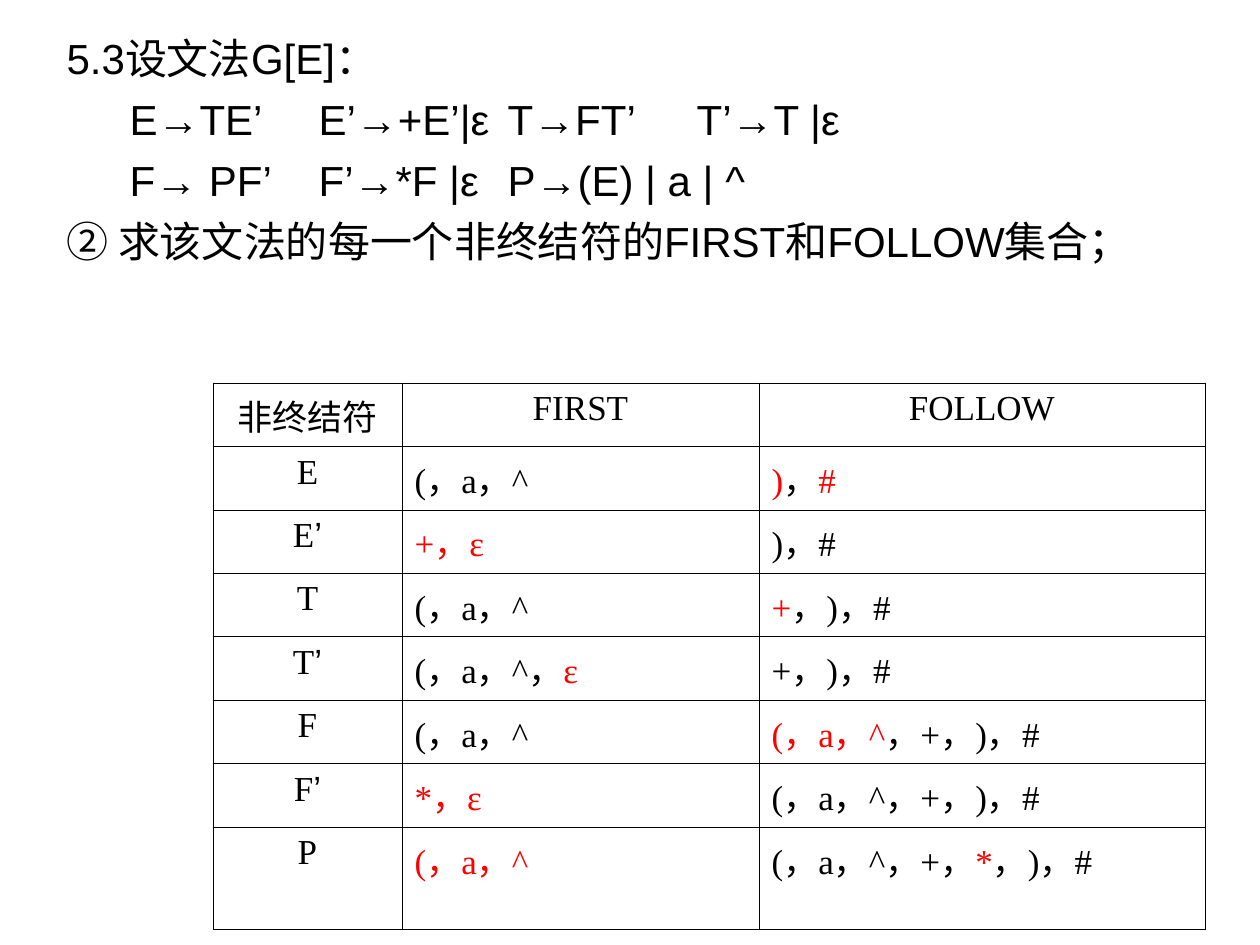
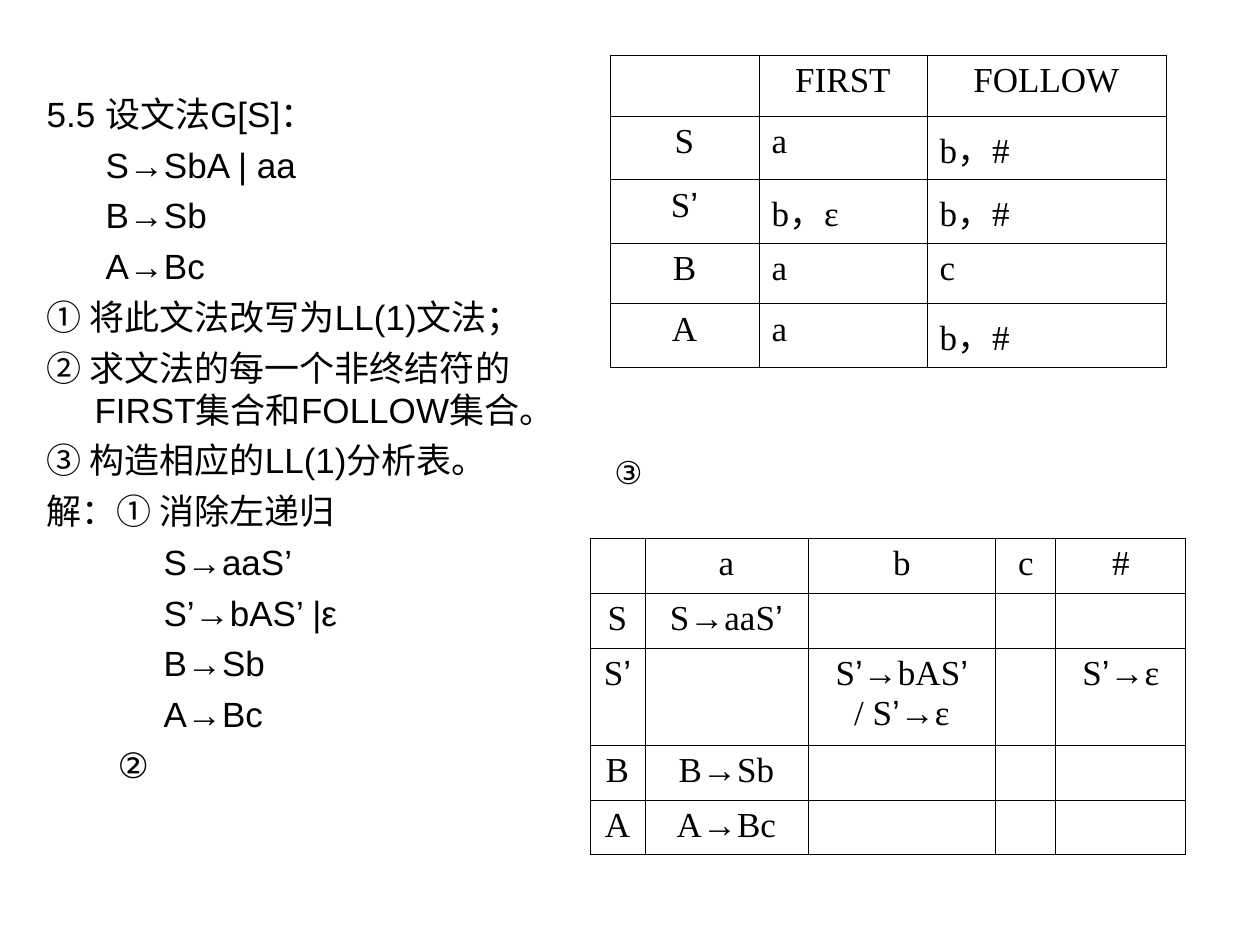
from itertools import groupby

from lxml import etree
from pptx import Presentation
from pptx.dml.color import RGBColor
from pptx.enum.text import MSO_ANCHOR, MSO_AUTO_SIZE, PP_ALIGN
from pptx.oxml.ns import qn
from pptx.util import Pt

PX = 914400 // 126
COLORS = {"ink": "000000", "answer": "FF0000"}
SANS, SERIF = "Arial", "Times New Roman"
LEFT, CENTER = PP_ALIGN.LEFT, PP_ALIGN.CENTER
TOP = MSO_ANCHOR.TOP
NO_AUTOFIT = MSO_AUTO_SIZE.NONE
HANG = 48
TEXT_AND_CONTENT = 1
BORDER_SIDES = ("lnL", "lnR", "lnT", "lnB")
BORDER_WIDTH = 5715

GRAMMAR_TABS = (94, 283, 488, 824)
GRAMMAR_E = [
    ("5.3设文法G[E]：", None),
    ("\tE→TE’\tE’→+E’|ε\tT→FT’\tT’→T |ε", 0),
    ("\tF→ PF’\tF’→*F |ε\tP→(E) | a | ^", 0),
    ("② 求该文法的每一个非终结符的FIRST和FOLLOW集合；", None),
]
GRAMMAR_S = [
    ("5.5 设文法G[S]：", None),
    ("S→SbA | aa", 59),
    ("B→Sb", 59),
    ("A→Bc", 59),
    ("① 将此文法改写为LL(1)文法；", None),
    ("② 求文法的每一个非终结符的FIRST集合和FOLLOW集合。", None),
    ("③ 构造相应的LL(1)分析表。", None),
    ("解：① 消除左递归", None),
    ("S→aaS’", 117),
    ("S’→bAS’ |ε", 117),
    ("B→Sb", 117),
    ("A→Bc", 117),
    ("②", 71),
]

# Text between bars is shown in the answer colour.
SETS_E = [
    ("非终结符", "FIRST", "FOLLOW"),
    ("E", "(，a，^", "|)|，|#|"),
    ("E’", "|+，ε|", ")，#"),
    ("T", "(，a，^", "|+|，)，#"),
    ("T’", "(，a，^，|ε|", "+，)，#"),
    ("F", "(，a，^", "|(，a，^|，+，)，#"),
    ("F’", "|*，ε|", "(，a，^，+，)，#"),
    ("P", "|(，a，^|", "(，a，^，+，|*|，)，#"),
]
SETS_S = [
    ("", "FIRST", "FOLLOW"),
    ("S", "a", "b，#"),
    ("S’", "b，ε", "b，#"),
    ("B", "a", "c"),
    ("A", "a", "b，#"),
]
PARSE_S = [
    ("", "a", "b", "c", "#"),
    ("S", "S→aaS’", "", "", ""),
    ("S’", "", "S’→bAS’\n/ S’→ε", "", "S’→ε"),
    ("B", "B→Sb", "", "", ""),
    ("A", "A→Bc", "", "", ""),
]


def emu(*lengths):
    return [length * PX for length in lengths]


def add_run(paragraph, text, size, face, color="ink"):
    run = paragraph.add_run()
    run.text = text
    run.font.size = Pt(size)
    run.font.name = face
    run.font.color.rgb = RGBColor.from_string(COLORS[color])


def set_indent(paragraph, margin, first_line):
    properties = paragraph._p.get_or_add_pPr()
    properties.set("marL", str(margin * PX))
    properties.set("indent", str(first_line * PX))
    return properties


def add_exercise(slide, box, lines, size, space, tabs=()):
    title = slide.shapes.title.element
    title.getparent().remove(title)
    exercise = slide.placeholders[1]
    exercise.left, exercise.top, exercise.width, exercise.height = emu(*box)
    frame = exercise.text_frame
    frame.word_wrap = True
    frame.auto_size = NO_AUTOFIT
    frame.vertical_anchor = TOP
    for number, (text, margin) in enumerate(lines):
        paragraph = frame.add_paragraph() if number else frame.paragraphs[0]
        paragraph.alignment = LEFT
        paragraph.space_before = Pt(space)
        hanging = margin is None
        properties = set_indent(paragraph, HANG if hanging else margin, -HANG if hanging else 0)
        etree.SubElement(properties, qn("a:buNone"))
        if "\t" in text:
            stops = etree.SubElement(properties, qn("a:tabLst"))
            for position in tabs:
                etree.SubElement(stops, qn("a:tab"), pos=str(position * PX), algn="l")
        add_run(paragraph, text, size, SANS)


def draw_borders(cell):
    properties = cell._tc.get_or_add_tcPr()
    for side in BORDER_SIDES:
        line = etree.SubElement(properties, qn(f"a:{side}"), w=str(BORDER_WIDTH))
        fill = etree.SubElement(line, qn("a:solidFill"))
        etree.SubElement(fill, qn("a:srgbClr"), val=COLORS["ink"])


def fill_cell(cell, text, alignment):
    draw_borders(cell)
    cell.fill.background()
    for number, line in enumerate(text.split("\n") if text else ()):
        frame = cell.text_frame
        paragraph = frame.add_paragraph() if number else frame.paragraphs[0]
        paragraph.alignment = alignment
        set_indent(paragraph, HANG, -HANG)
        for part, symbols in enumerate(line.split("|")):
            color = "answer" if part % 2 else "ink"
            for is_prime, group in groupby(symbols, lambda symbol: symbol == "’"):
                add_run(paragraph, "".join(group), 20, SANS if is_prime else SERIF, color)


def add_grid(slide, origin, columns, heights, rows, all_centered=False):
    box = (*origin, sum(columns), sum(heights))
    grid = slide.shapes.add_table(len(rows), len(columns), *emu(*box)).table
    grid.first_row = grid.horz_banding = False
    for column, width in zip(grid.columns, emu(*columns)):
        column.width = width
    for row, height in zip(grid.rows, emu(*heights)):
        row.height = height
    for r, texts in enumerate(rows):
        for c, text in enumerate(texts):
            centered = all_centered or r == 0 or c == 0
            fill_cell(grid.cell(r, c), text, CENTER if centered else LEFT)


def add_step_mark(slide, box, text):
    mark = slide.shapes.add_textbox(*emu(*box))
    mark.text_frame.word_wrap = False
    add_run(mark.text_frame.paragraphs[0], text, 18, SANS)


def build_expression_slide(slide):
    add_exercise(slide, (54, 26, 1160, 268), GRAMMAR_E, 24, 6, GRAMMAR_TABS)
    add_grid(slide, (213, 383), (189, 357, 446), [55] * len(SETS_E), SETS_E)


def build_rewriting_slide(slide):
    add_exercise(slide, (34, 86, 557, 758), GRAMMAR_S, 20, 5)
    add_grid(slide, (610, 55), (149, 168, 239), [61] * len(SETS_S), SETS_S)
    add_grid(slide, (590, 538), (55, 163, 188, 60, 130), (55, 55, 97, 55, 55), PARSE_S, True)
    add_step_mark(slide, (602, 447, 57, 50), "③")


def main():
    deck = Presentation()
    deck.slide_width, deck.slide_height = emu(1260, 945)
    for build in (build_expression_slide, build_rewriting_slide):
        build(deck.slides.add_slide(deck.slide_layouts[TEXT_AND_CONTENT]))
    deck.save("out.pptx")


if __name__ == "__main__":
    main()
